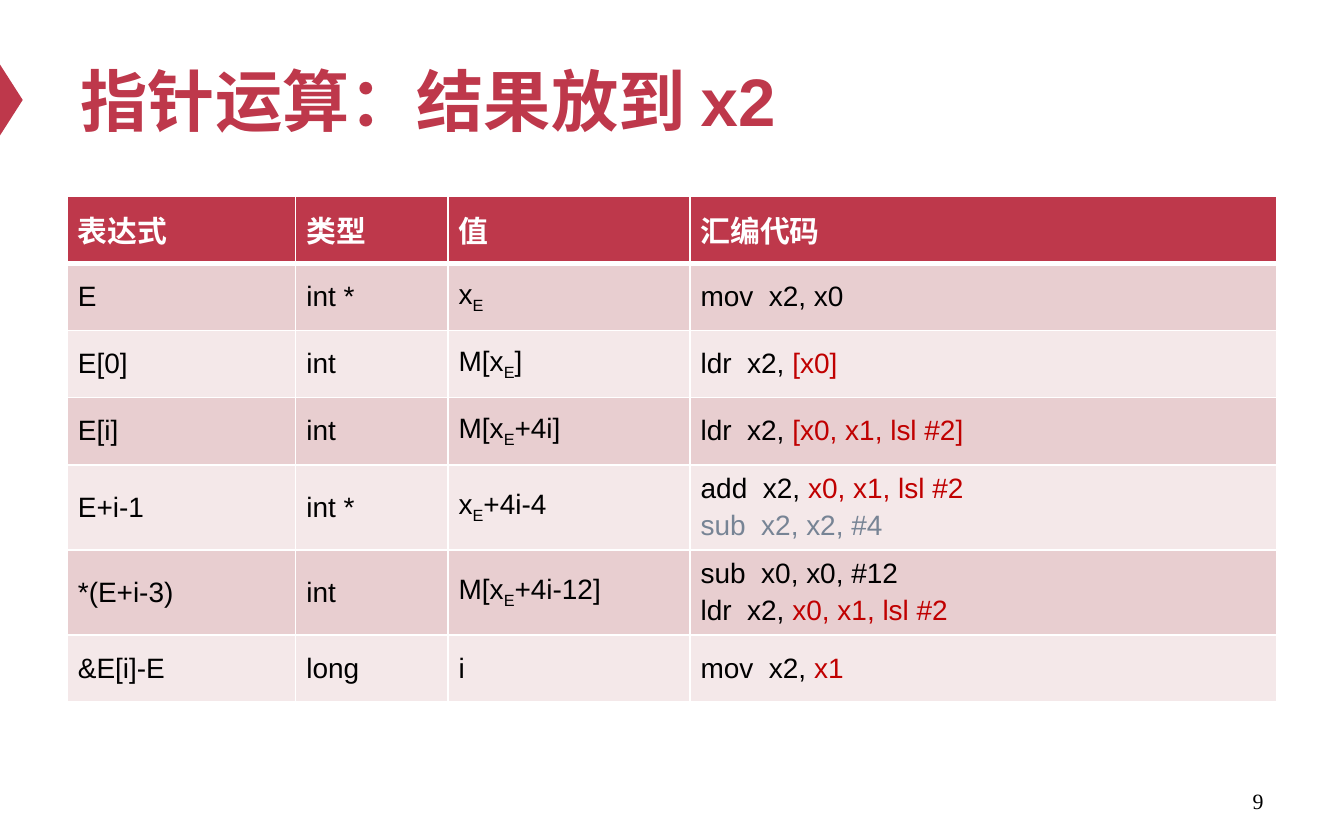
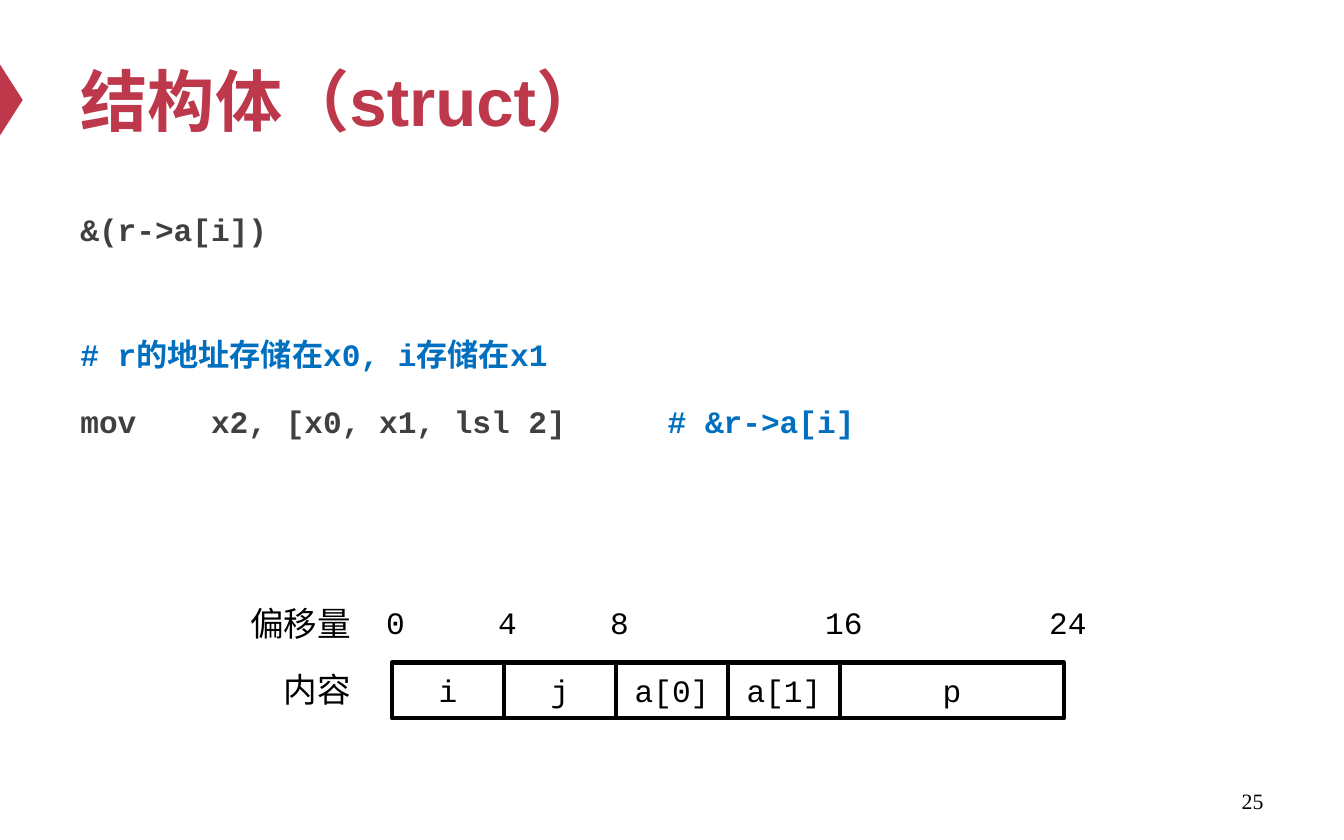
from dataclasses import dataclass
from typing import NamedTuple

from lxml.etree import SubElement
from pptx import Presentation
from pptx.dml.color import RGBColor
from pptx.enum.shapes import MSO_SHAPE
from pptx.enum.text import MSO_ANCHOR, MSO_AUTO_SIZE, PP_ALIGN
from pptx.oxml.ns import qn
from pptx.util import Inches, Pt

SLIDE_WIDTH, SLIDE_HEIGHT = Inches(10), Inches(6.25)
COLUMN, ROW = SLIDE_WIDTH / 12, SLIDE_HEIGHT / 15
MARGIN, CONTENT_WIDTH, CONTENT_TOP = 0.6, 10.8, 3.5

CRIMSON, WHITE, BLACK = "BE384B", "FFFFFF", "000000"
BAND_DARK, BAND_LIGHT = "E8CED0", "F4E8E9"
RED, SLATE, CHARCOAL, BLUE = "C00000", "778495", "404040", "006FC0"
SANS, MONO, SERIF, HAND, CHINESE = (
    "Arial", "Courier New", "Times New Roman", "Comic Neue", "Noto Sans CJK SC")


class Box(NamedTuple):
    """A place on the slide, in grid columns and rows."""
    left: float
    top: float
    width: float
    height: float

    def lengths(self) -> tuple:
        """Return the place in slide units."""
        return (round(self.left * COLUMN), round(self.top * ROW),
                round(self.width * COLUMN), round(self.height * ROW))


class Span(NamedTuple):
    """A piece of text that may have its own colour or be a subscript."""
    text: str
    color: str = ""
    subscript: bool = False


@dataclass(frozen=True)
class Style:
    """Font settings of a paragraph."""
    size: float
    font: str = SANS
    color: str = BLACK
    bold: bool = False
    align: PP_ALIGN = PP_ALIGN.LEFT


@dataclass(frozen=True)
class Expression:
    """A table row: an expression, its type, its value and its code."""
    source: str
    kind: str
    value: str
    code: list


@dataclass(frozen=True)
class Field:
    """A struct member with its byte offset and size."""
    name: str
    offset: int
    size: int


TITLE = Style(36, color=CRIMSON, bold=True)
PAGE = Style(11.7, SERIF, align=PP_ALIGN.RIGHT)
HEADER = Style(16, color=WHITE, bold=True)
CELL = Style(15)
CODE = Style(16.7, MONO, CHARCOAL, True)
COMMENT = Style(16.7, MONO, BLUE, True)
OFFSET = Style(16.7, MONO)
MEMBER = Style(16.7, MONO, align=PP_ALIGN.CENTER)
LABEL = Style(18, HAND, align=PP_ALIGN.RIGHT)

HEADINGS = ["表达式", "类型", "值", "汇编代码"]
TABLE_COLUMNS = [2.04, 1.36, 2.16, 5.24]
SCALED = "x0, x1, lsl #2"
EXPRESSIONS = [
    Expression("E", "int *", "xE", [[Span("mov  x2, x0")]]),
    Expression("E[0]", "int", "M[xE]", [[Span("ldr  x2, "), Span("[x0]", RED)]]),
    Expression("E[i]", "int", "M[xE+4i]",
               [[Span("ldr  x2, "), Span(f"[{SCALED}]", RED)]]),
    Expression("E+i-1", "int *", "xE+4i-4",
               [[Span("add  x2, "), Span(SCALED, RED)],
                [Span("sub  x2, x2, #4", SLATE)]]),
    Expression("*(E+i-3)", "int", "M[xE+4i-12]",
               [[Span("sub  x0, x0, #12")],
                [Span("ldr  x2, "), Span(SCALED, RED)]]),
    Expression("&E[i]-E", "long", "i", [[Span("mov  x2, "), Span("x1", RED)]]),
]

FIELDS = [Field("i", 0, 4), Field("j", 4, 4), Field("a[0]", 8, 4),
          Field("a[1]", 12, 4), Field("p", 16, 8)]
OFFSETS = [0, 4, 8, 16, 24]
STRUCT_LEFT, OFFSET_TOP, MEMBER_TOP, BYTES_PER_COLUMN = 3.5, 10.65, 11.83, 4


def rgb(color: str) -> RGBColor:
    """Turn a hex string into a colour."""
    return RGBColor.from_string(color)


def write(paragraph, spans: list, style: Style) -> None:
    """Fill a paragraph with spans in one style."""
    paragraph.alignment = style.align
    font = paragraph.font
    font.size, font.name, font.bold = Pt(style.size), style.font, style.bold
    font.color.rgb = rgb(style.color)
    defaults = paragraph._p.get_or_add_pPr().find(qn("a:defRPr"))
    SubElement(defaults, qn("a:ea"), typeface=CHINESE)
    for span in spans:
        run = paragraph.add_run()
        run.text = span.text
        if span.color:
            run.font.color.rgb = rgb(span.color)
        if span.subscript:
            run._r.get_or_add_rPr().set("baseline", "-25000")


def add_text(slide, box: Box, text: str, style: Style,
             anchor: MSO_ANCHOR = MSO_ANCHOR.TOP) -> None:
    """Add a text box with one paragraph."""
    frame = slide.shapes.add_textbox(*box.lengths()).text_frame
    frame.word_wrap = True
    frame.vertical_anchor = anchor
    write(frame.paragraphs[0], [Span(text)], style)


def add_plain_shape(slide, kind: MSO_SHAPE, box: Box):
    """Add a preset shape without shadow, fill or line."""
    shape = slide.shapes.add_shape(kind, *box.lengths())
    shape.shadow.inherit = False
    shape.fill.background()
    shape.line.fill.background()
    return shape


def add_slide(presentation, title: str, number: int):
    """Add a slide with its edge marker, title and page number."""
    slide = presentation.slides.add_slide(presentation.slide_layouts[5])
    marker = add_plain_shape(slide, MSO_SHAPE.ISOSCELES_TRIANGLE,
                             Box(-0.22, 1.58, 0.64, 0.41))
    marker.rotation = 90
    marker.fill.solid()
    marker.fill.fore_color.rgb = rgb(CRIMSON)
    heading = slide.shapes.title
    heading.left, heading.top, heading.width, heading.height = Box(
        MARGIN, 0.6, CONTENT_WIDTH, 2.35).lengths()
    frame = heading.text_frame
    frame.word_wrap = True
    frame.auto_size = MSO_AUTO_SIZE.NONE
    frame.vertical_anchor = MSO_ANCHOR.MIDDLE
    write(frame.paragraphs[0], [Span(title)], TITLE)
    add_text(slide, Box(8.6, 13.9, 2.8, 0.8), str(number), PAGE, MSO_ANCHOR.MIDDLE)
    return slide


def add_border(cell, side: str, points: float) -> None:
    """Give one side of a cell a white border."""
    line = SubElement(cell._tc.get_or_add_tcPr(), qn(f"a:ln{side}"), w=str(Pt(points)))
    SubElement(SubElement(line, qn("a:solidFill")), qn("a:srgbClr"), val=WHITE)


def fill_cell(cell, lines: list, style: Style, fill: str, top: float,
              bottom: float) -> None:
    """Write a table cell and set its fill, borders and margins."""
    for side, points in (("L", 1), ("R", 1), ("T", top), ("B", bottom)):
        add_border(cell, side, points)
    cell.fill.solid()
    cell.fill.fore_color.rgb = rgb(fill)
    cell.vertical_anchor = MSO_ANCHOR.MIDDLE
    cell.margin_left = cell.margin_right = Inches(0.08)
    cell.margin_top = cell.margin_bottom = Inches(0.04)
    for index, spans in enumerate(lines):
        paragraph = cell.text_frame.add_paragraph() if index else cell.text_frame.paragraphs[0]
        if index:
            paragraph.space_before = Pt(3)
        write(paragraph, spans, style)


def value_spans(value: str) -> list:
    """Split a value so that its E becomes a subscript."""
    before, mark, after = value.partition("E")
    spans = [Span(before), Span(mark, subscript=True), Span(after)]
    return [span for span in spans if span.text]


def add_expression_table(slide) -> None:
    """Add the table of pointer expressions."""
    heights = [1.2] + [1.52 if len(item.code) > 1 else 1.2 for item in EXPRESSIONS]
    box = Box(MARGIN, CONTENT_TOP, CONTENT_WIDTH, sum(heights))
    table = slide.shapes.add_table(len(heights), len(HEADINGS), *box.lengths()).table
    for column, width in zip(table.columns, TABLE_COLUMNS):
        column.width = round(width * COLUMN)
    for row, height in zip(table.rows, heights):
        row.height = round(height * ROW)
    for column, heading in enumerate(HEADINGS):
        fill_cell(table.cell(0, column), [[Span(heading)]], HEADER, CRIMSON, 1, 3)
    for row, item in enumerate(EXPRESSIONS, 1):
        contents = [[[Span(item.source)]], [[Span(item.kind)]],
                    [value_spans(item.value)], item.code]
        fill = BAND_DARK if row % 2 else BAND_LIGHT
        for column, lines in enumerate(contents):
            fill_cell(table.cell(row, column), lines, CELL, fill, 3 if row == 1 else 1, 1)


def add_code(slide) -> None:
    """Add the code lines with their comments."""
    box = Box(MARGIN, CONTENT_TOP, CONTENT_WIDTH, 9.9)
    frame = slide.shapes.add_textbox(*box.lengths()).text_frame
    frame.word_wrap = True
    lines = [
        ([Span("&(r->a[i])")], CODE, 0),
        ([Span("# r的地址存储在x0, i存储在x1")], COMMENT, 43),
        ([Span("mov    x2, [x0, x1, lsl 2]\t"), Span("# &r->a[i]", BLUE)], CODE, 12),
    ]
    for index, (spans, style, gap) in enumerate(lines):
        paragraph = frame.add_paragraph() if index else frame.paragraphs[0]
        paragraph.line_spacing = 1.2
        if gap:
            paragraph.space_before = Pt(gap)
        tabs = SubElement(paragraph._p.get_or_add_pPr(), qn("a:tabLst"))
        SubElement(tabs, qn("a:tab"), pos=str(Inches(4.37)), algn="l")
        write(paragraph, spans, style)


def add_struct_layout(slide) -> None:
    """Add the memory layout of the struct with its offsets."""
    for field in FIELDS:
        left = STRUCT_LEFT + field.offset / BYTES_PER_COLUMN
        shape = add_plain_shape(slide, MSO_SHAPE.RECTANGLE,
                                Box(left, MEMBER_TOP, field.size / BYTES_PER_COLUMN, 1))
        shape.line.color.rgb = rgb(BLACK)
        shape.line.width = Pt(2.25)
        shape.text_frame.vertical_anchor = MSO_ANCHOR.MIDDLE
        write(shape.text_frame.paragraphs[0], [Span(field.name)], MEMBER)
    for offset in OFFSETS:
        shift = 0.25 if offset > 9 else 0.17
        left = STRUCT_LEFT + offset / BYTES_PER_COLUMN - shift
        add_text(slide, Box(left, OFFSET_TOP, 0.67, 0.9), str(offset), OFFSET)
    for label, top in (("内容", MEMBER_TOP), ("偏移量", OFFSET_TOP)):
        add_text(slide, Box(1.75, top, 1.5, 0.96), label, LABEL)


def main() -> None:
    """Build and save the presentation."""
    presentation = Presentation()
    presentation.slide_width, presentation.slide_height = SLIDE_WIDTH, SLIDE_HEIGHT
    add_expression_table(add_slide(presentation, "指针运算：结果放到 x2", 9))
    struct_slide = add_slide(presentation, "结构体（struct）", 25)
    add_code(struct_slide)
    add_struct_layout(struct_slide)
    presentation.save("out.pptx")


if __name__ == "__main__":
    main()
